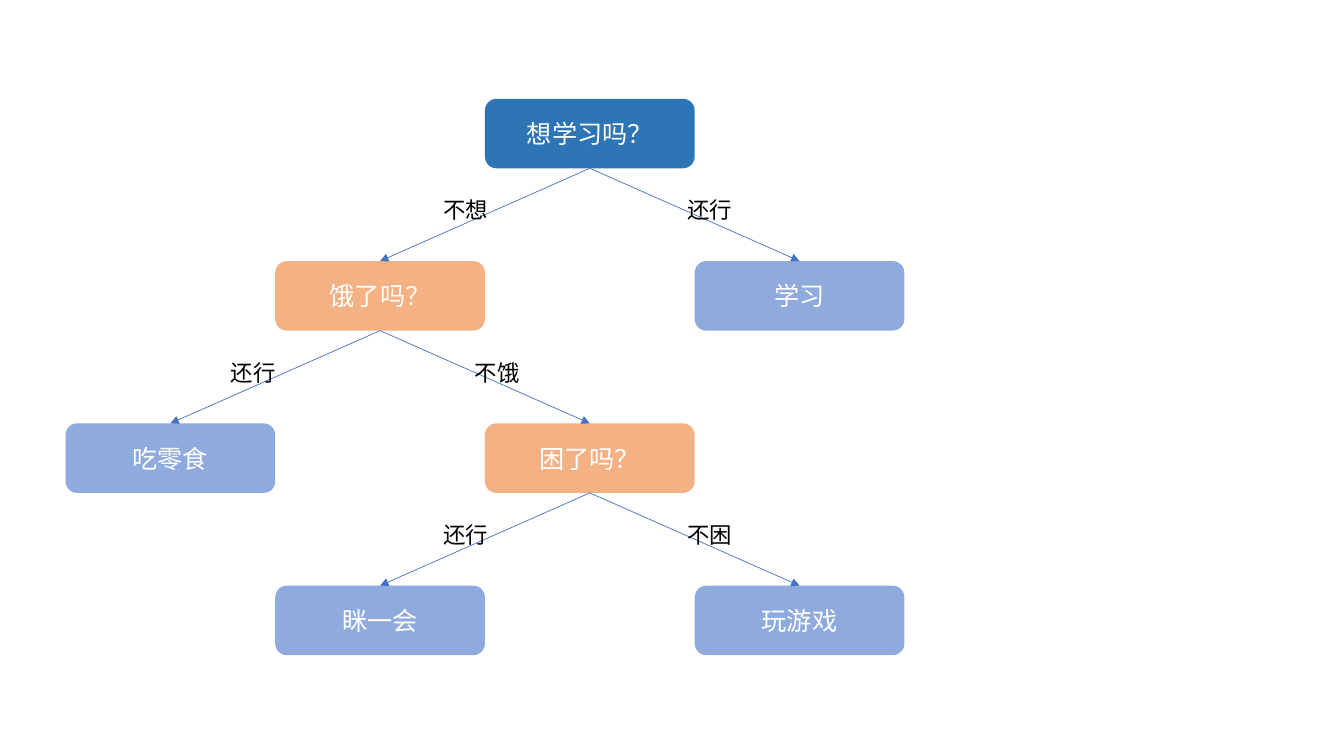
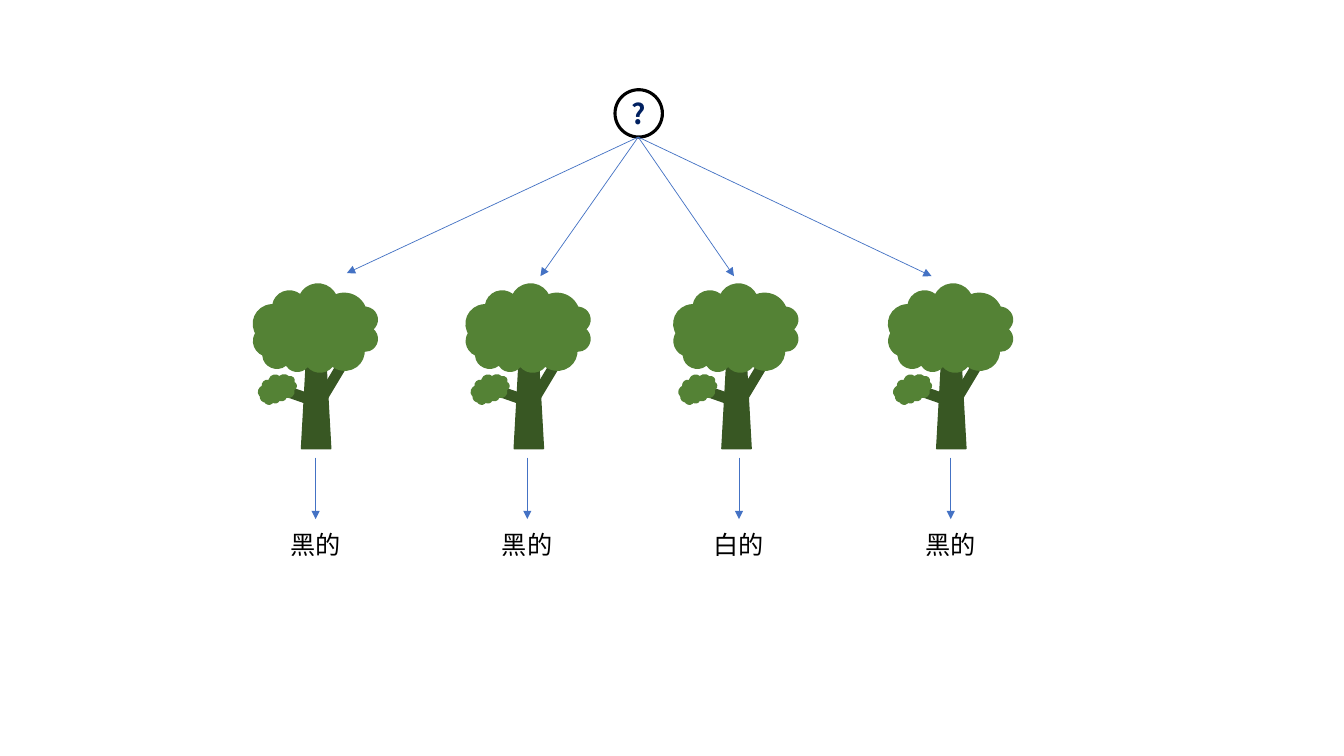
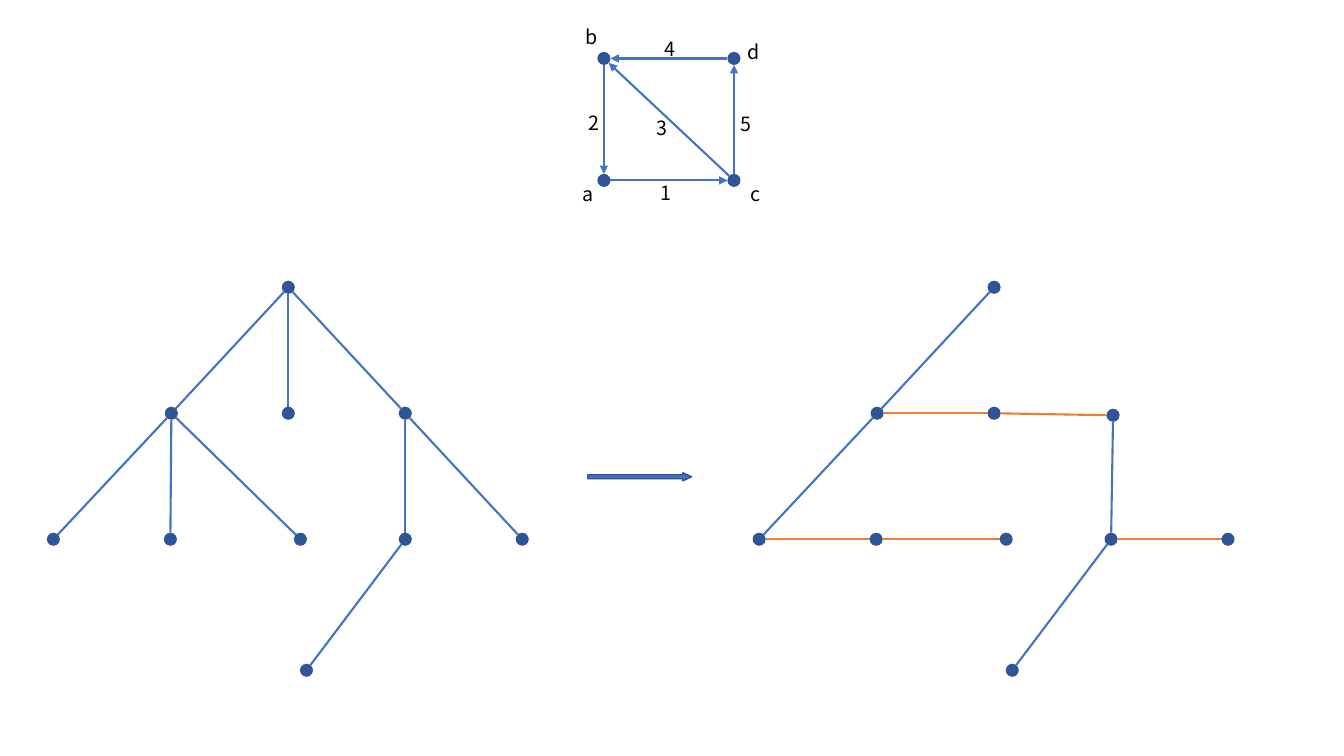
import math

import lxml.etree
import pptx
import pptx.dml.color
import pptx.enum.shapes
import pptx.enum.text
import pptx.oxml.ns
import pptx.util

Inches = pptx.util.Inches
Pt = pptx.util.Pt
SHAPE = pptx.enum.shapes.MSO_SHAPE
qn = pptx.oxml.ns.qn

FONT = "Noto Sans CJK SC"
COLORS = {
    "white": "FFFFFF", "black": "000000", "navy": "002060",
    "root": "2E75B6", "question": "F4B183", "answer": "8FAADC",
    "trunk": "385723", "leaves": "548235",
    "dot": "2F5597", "line": "4472C4", "sibling": "ED7D31", "outline": "325491",
}


def add_box(shapes, kind, box, text="", size=18, color="black", fill=None,
            line=None, line_width=1.0, wrap=True):
    """Add a preset shape, or a text box when kind is None."""
    left, top, width, height = [Inches(value) for value in box]
    if kind is None:
        shape = shapes.add_textbox(left, top, width, height)
        alignment = pptx.enum.text.PP_ALIGN.LEFT
    else:
        shape = shapes.add_shape(kind, left, top, width, height)
        shape.shadow.inherit = False
        shape.fill.solid()
        shape.fill.fore_color.rgb = pptx.dml.color.RGBColor.from_string(COLORS[fill])
        if line:
            shape.line.color.rgb = pptx.dml.color.RGBColor.from_string(COLORS[line])
            shape.line.width = Pt(line_width)
        else:
            shape.line.fill.background()
        alignment = pptx.enum.text.PP_ALIGN.CENTER
    if text:
        shape.text_frame.word_wrap = wrap
        shape.text_frame.text = text
        paragraph = shape.text_frame.paragraphs[0]
        paragraph.alignment = alignment
        font = paragraph.runs[0].font
        font.name = FONT
        font.size = Pt(size)
        font.color.rgb = pptx.dml.color.RGBColor.from_string(COLORS[color])
        properties = paragraph.runs[0]._r.get_or_add_rPr()
        lxml.etree.SubElement(properties, qn("a:ea")).set("typeface", FONT)
    return shape


def add_line(shapes, start, end, color="line", width=0.5, arrow=False, trim=0):
    """Add a straight line, shortened by trim inches at both ends."""
    (x1, y1), (x2, y2) = start, end
    length = math.hypot(x2 - x1, y2 - y1)
    dx, dy = trim * (x2 - x1) / length, trim * (y2 - y1) / length
    connector = shapes.add_connector(
        pptx.enum.shapes.MSO_CONNECTOR.STRAIGHT,
        Inches(x1 + dx), Inches(y1 + dy), Inches(x2 - dx), Inches(y2 - dy))
    connector.line.color.rgb = pptx.dml.color.RGBColor.from_string(COLORS[color])
    connector.line.width = Pt(width)
    if arrow:
        line_xml = connector.line._get_or_add_ln()
        lxml.etree.SubElement(line_xml, qn("a:tailEnd")).set("type", "triangle")
    lxml.etree.SubElement(connector._element.spPr, qn("a:effectLst"))
    return connector


presentation = pptx.Presentation()
presentation.slide_width = Inches(13.33)
presentation.slide_height = Inches(7.5)
blank_layout = presentation.slide_layouts[6]

# Slide 1: decision tree, nodes on a grid of columns and rows
shapes = presentation.slides.add_slide(blank_layout).shapes
NODE_WIDTH, NODE_HEIGHT, ROW_PITCH = 2.08, 0.69, 1.61
nodes = {}
for text, column, row, fill in [
    ("想学习吗？", 2, 0, "root"),
    ("饿了吗？", 1, 1, "question"),
    ("学习", 3, 1, "answer"),
    ("吃零食", 0, 2, "answer"),
    ("困了吗？", 2, 2, "question"),
    ("眯一会", 1, 3, "answer"),
    ("玩游戏", 3, 3, "answer"),
]:
    box = (0.65 + column * NODE_WIDTH, 0.98 + row * ROW_PITCH, NODE_WIDTH, NODE_HEIGHT)
    nodes[text] = add_box(shapes, SHAPE.ROUNDED_RECTANGLE, box, text,
                          color="white", fill=fill)

for parent, child, answer, label_left in [
    ("想学习吗？", "饿了吗？", "不想", 4.3),
    ("想学习吗？", "学习", "还行", 6.72),
    ("饿了吗？", "吃零食", "还行", 2.19),
    ("饿了吗？", "困了吗？", "不饿", 4.61),
    ("困了吗？", "眯一会", "还行", 4.3),
    ("困了吗？", "玩游戏", "不困", 6.72),
]:
    connector = add_line(shapes, (0, 0), (1, 1), arrow=True)
    connector.begin_connect(nodes[parent], 2)
    connector.end_connect(nodes[child], 0)
    label_top = nodes[parent].top.inches + NODE_HEIGHT + 0.23
    add_box(shapes, None, (label_left, label_top, 0.68, 0.37), answer, 16)

# Slide 2: four trees answering one question
shapes = presentation.slides.add_slide(blank_layout).shapes
TREE_TOP, ANSWER_PITCH = 2.82, 2.1
tree_parts = [
    (SHAPE.TRAPEZOID, 0.48, 0.34, 0.29, 1.29, 0, "trunk"),
    (SHAPE.DIAGONAL_STRIPE, 0.72, 0.81, 0.21, 0.35, 0, "trunk"),
    (SHAPE.CLOUD, 0, 0, 1.24, 0.89, 188.4, "leaves"),
    (SHAPE.DIAGONAL_STRIPE, 0.29, 1.01, 0.27, 0.27, 64.2, "trunk"),
    (SHAPE.CLOUD, 0.05, 0.9, 0.38, 0.27, 167.3, "leaves"),
]
question = add_box(shapes, SHAPE.OVAL, (6.1, 0.89, 0.47, 0.47), "?", 20, "navy",
                   "white", "black", 2.25)
question.text_frame.paragraphs[0].runs[0].font.bold = True
for index, (tree_left, arrow_end, answer) in enumerate([
    (2.51, (3.44, 2.71), "黑的"),
    (4.62, (5.36, 2.74), "黑的"),
    (6.68, (7.28, 2.74), "白的"),
    (8.81, (9.24, 2.74), "黑的"),
]):
    tree = shapes.add_group_shape()
    for kind, left, top, width, height, rotation, color in tree_parts:
        part = add_box(tree.shapes, kind, (tree_left + left, TREE_TOP + top, width, height),
                       fill=color, line=color)
        part.rotation = rotation
    add_line(shapes, (6.33, 1.36), arrow_end, arrow=True)
    answer_x = 3.13 + index * ANSWER_PITCH
    add_line(shapes, (answer_x, 4.54), (answer_x, 5.15), arrow=True)
    add_box(shapes, None, (answer_x - 0.35, 5.2, 0.71, 0.4), answer, wrap=False)

# Slide 3: weighted graph, and a tree turned into a binary tree
shapes = presentation.slides.add_slide(blank_layout).shapes
RADIUS = 0.065
graph = {"b": (5.99, 0.58), "a": (5.99, 1.79), "d": (7.28, 0.58), "c": (7.28, 1.79)}
graph_edges = ["cb", "cd", "ba", "db", "ac"]
tree = {
    "root": (2.86, 2.85),
    "left": (1.7, 4.1), "middle": (2.86, 4.1), "right": (4.02, 4.1),
    "left 1": (0.53, 5.35), "left 2": (1.69, 5.35), "left 3": (2.98, 5.35),
    "right 1": (4.02, 5.35), "right 2": (5.18, 5.35),
    "leaf": (3.04, 6.65),
}
tree_edges = [
    ("root", "left"), ("root", "middle"), ("root", "right"),
    ("left", "left 1"), ("left", "left 2"), ("left", "left 3"),
    ("right", "right 1"), ("right", "right 2"), ("right 1", "leaf"),
]
binary_tree = {name: (x + 7, y) for name, (x, y) in tree.items()}
binary_tree["right"] = (11.04, 4.12)
child_edges = [("root", "left"), ("left", "left 1"), ("right", "right 1"),
               ("right 1", "leaf")]
sibling_edges = [("left", "middle"), ("middle", "right"), ("left 1", "left 2"),
                 ("left 2", "left 3"), ("right 1", "right 2")]

for points, edges, color, arrow in [
    (graph, graph_edges, "line", True),
    (tree, tree_edges, "line", False),
    (binary_tree, child_edges, "line", False),
    (binary_tree, sibling_edges, "sibling", False),
]:
    for start, end in edges:
        add_line(shapes, points[start], points[end], color, 1.5, arrow, RADIUS)

for x, y in [*graph.values(), *tree.values(), *binary_tree.values()]:
    add_box(shapes, SHAPE.OVAL, (x - RADIUS, y - RADIUS, 2 * RADIUS, 2 * RADIUS), fill="dot")

# Vertex names and edge weights
for text, left, top in [
    ("b", 5.71, 0.2), ("a", 5.68, 1.76), ("d", 7.32, 0.35), ("c", 7.35, 1.76),
    ("4", 6.49, 0.32), ("3", 6.41, 1.1), ("1", 6.45, 1.75),
    ("2", 5.74, 1.05), ("5", 7.25, 1.06),
]:
    add_box(shapes, None, (left, top, 0.31, 0.34), text, 14, wrap=False)

# Conversion arrow
conversion = add_box(shapes, SHAPE.RIGHT_ARROW, (5.83, 4.69, 1.03, 0.08),
                     fill="line", line="outline")
conversion.adjustments[1] = 1.08

presentation.save("out.pptx")
